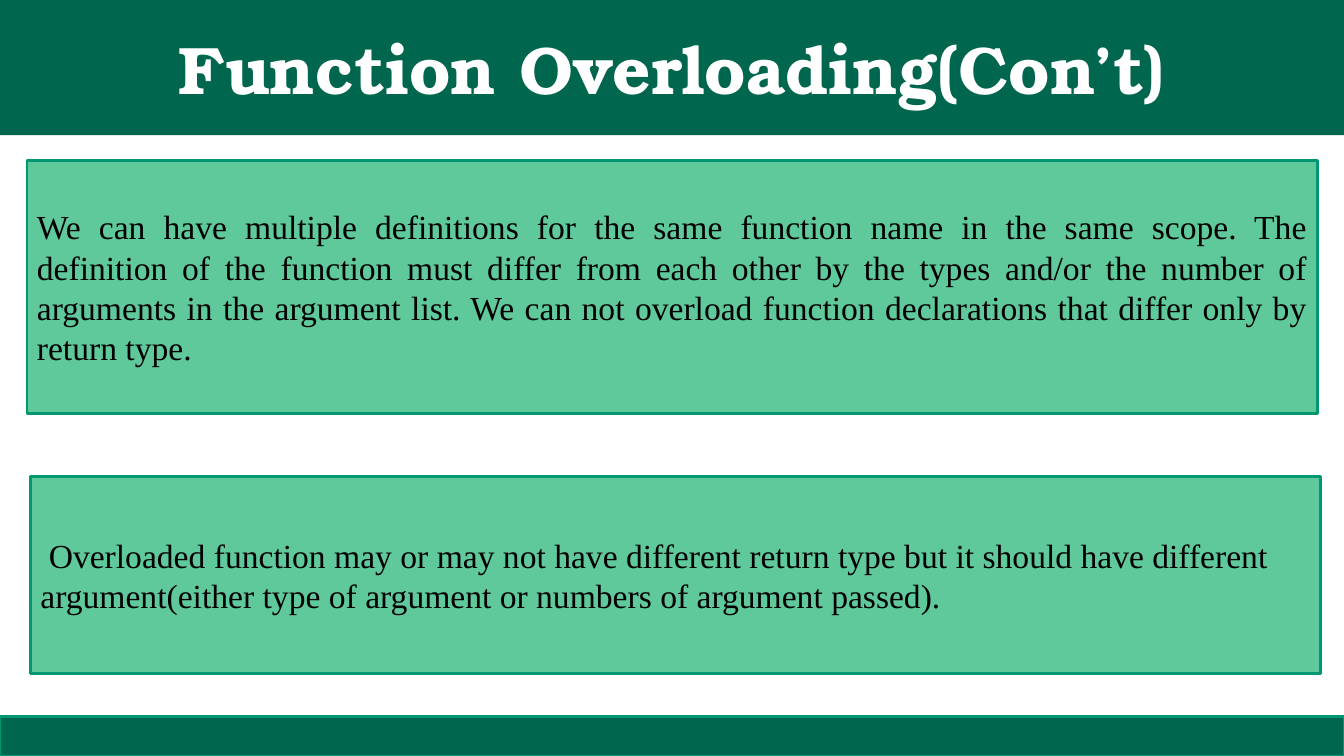
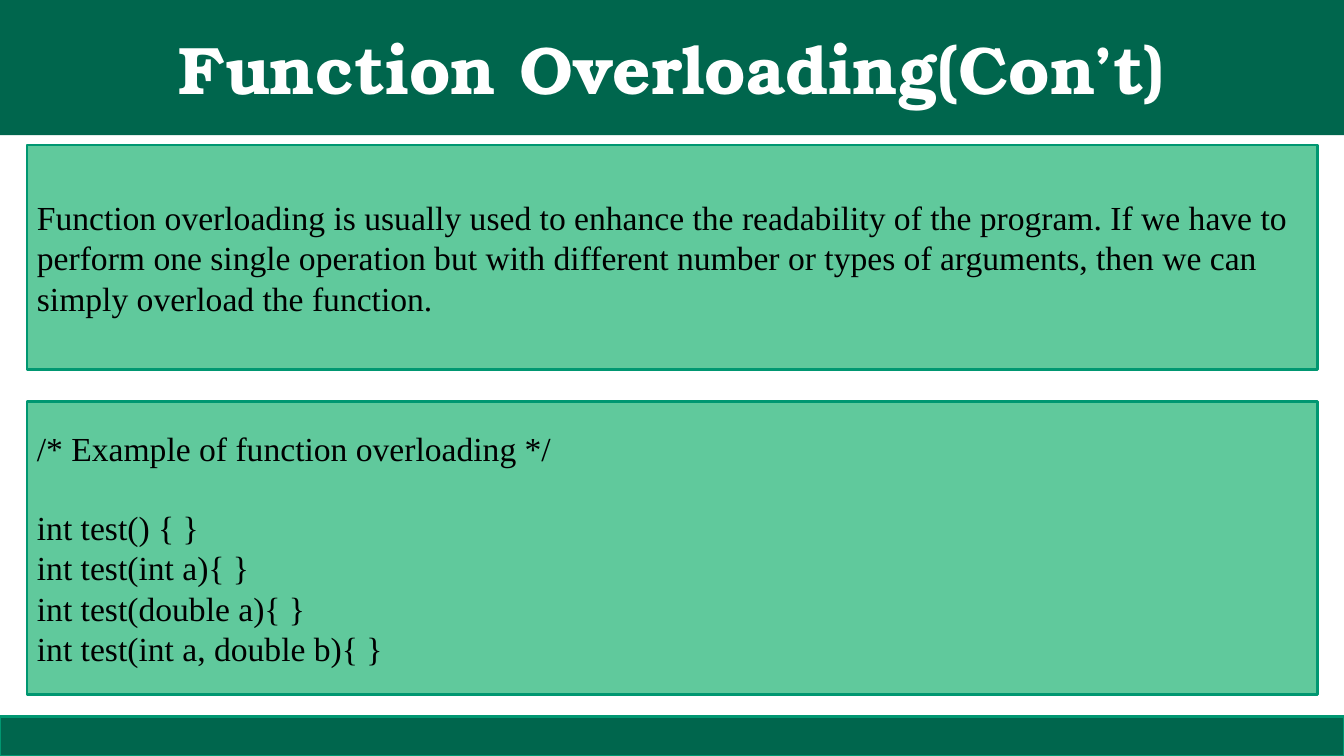
from dataclasses import dataclass

from pptx import Presentation
from pptx.dml.color import RGBColor
from pptx.enum.shapes import MSO_SHAPE as Preset
from pptx.enum.text import MSO_ANCHOR as Anchor, PP_ALIGN as Align
from pptx.util import Pt

# Shared look
DARK_GREEN = "00664D"
EDGE_GREEN = "009771"
LIGHT_GREEN = "60C99C"
WHITE = "FFFFFF"
BLACK = "000000"
TITLE_FONT = "TeX Gyre Bonum"
BODY_FONT = "Times New Roman"
PAGE_WIDTH, PAGE_HEIGHT = 960, 540
TITLE_HEIGHT = 96.5
FOOTER_HEIGHT = 28
BOX_LEFT, BOX_WIDTH = 19.3, 921.6
BODY_SIZE = 24
LINE_GAP = 28


@dataclass(frozen=True)
class Line:
    text: str
    align: Align = Align.LEFT
    before: float = 0


@dataclass(frozen=True)
class TextBox:
    top: float
    height: float
    lines: tuple[Line, ...]
    left: float = BOX_LEFT


@dataclass(frozen=True)
class Topic:
    title: str
    boxes: tuple[TextBox, ...]


TOPICS = (
    Topic("Function Overloading(Con’t)", (
        TextBox(114.4, 181.2, (
            Line("We can have multiple definitions for the same function name in the same "
                 "scope. The definition of the function must differ from each other by the "
                 "types and/or the number of arguments in the argument list. We can not "
                 "overload function declarations that differ only by return type.",
                 Align.JUSTIFY),
        )),
        TextBox(340.4, 140.6, (
            Line(" Overloaded function may or may not have different return type but it "
                 "should have different argument(either type of argument or numbers of "
                 "argument passed)."),
        ), left=21.8),
    )),
    Topic("Function Overloading(Con’t)", (
        TextBox(103.6, 160.4, (
            Line("Function overloading is usually used to enhance the readability of the "
                 "program. If we have to perform one single operation but with different "
                 "number or types of arguments, then we can simply overload the function."),
        )),
        TextBox(286.6, 209.5, (
            Line("/* Example of function overloading */"),
            Line("int test() { }", before=LINE_GAP),
            Line("int test(int a){ }"),
            Line("int test(double a){ }"),
            Line("int test(int a, double b){ }"),
        )),
    )),
)


def color(value: str) -> RGBColor:
    return RGBColor.from_string(value)


def add_panel(page, left: float, top: float, width: float, height: float,
              fill: str, edge: str | None = None):
    """Draw a flat rectangle, with an outline if an edge colour is given."""
    panel = page.shapes.add_shape(Preset.RECTANGLE, Pt(left), Pt(top), Pt(width), Pt(height))
    panel.shadow.inherit = False
    panel.fill.solid()
    panel.fill.fore_color.rgb = color(fill)
    if edge:
        panel.line.color.rgb = color(edge)
        panel.line.width = Pt(2)
    else:
        panel.line.fill.background()
    return panel


def write(para, text: str, *, font: str = BODY_FONT, size: float = BODY_SIZE,
          ink: str = BLACK, bold: bool = False, align: Align = Align.LEFT,
          before: float = 0) -> None:
    para.alignment = align
    para.space_before = Pt(before)
    span = para.add_run()
    span.text = text
    span.font.name = font
    span.font.size = Pt(size)
    span.font.bold = bold
    span.font.color.rgb = color(ink)


def open_frame(panel):
    frame = panel.text_frame
    frame.word_wrap = True
    frame.vertical_anchor = Anchor.MIDDLE
    return frame


def add_bands(page, title: str) -> None:
    """Draw the title band and the footer band."""
    band = add_panel(page, 0, 0, PAGE_WIDTH, TITLE_HEIGHT, DARK_GREEN)
    write(open_frame(band).paragraphs[0], title, font=TITLE_FONT, size=48,
          ink=WHITE, bold=True, align=Align.CENTER)
    add_panel(page, 0, PAGE_HEIGHT - FOOTER_HEIGHT, PAGE_WIDTH, FOOTER_HEIGHT,
              DARK_GREEN, EDGE_GREEN)


def add_text_box(page, box: TextBox) -> None:
    panel = add_panel(page, box.left, box.top, BOX_WIDTH, box.height,
                      LIGHT_GREEN, EDGE_GREEN)
    frame = open_frame(panel)
    for index, line in enumerate(box.lines):
        para = frame.add_paragraph() if index else frame.paragraphs[0]
        write(para, line.text, align=line.align, before=line.before)


def main() -> None:
    deck = Presentation()
    deck.slide_width, deck.slide_height = Pt(PAGE_WIDTH), Pt(PAGE_HEIGHT)
    blank = deck.slide_layouts[6]
    for topic in TOPICS:
        page = deck.slides.add_slide(blank)
        add_bands(page, topic.title)
        for box in topic.boxes:
            add_text_box(page, box)
    deck.save("out.pptx")


if __name__ == "__main__":
    main()
